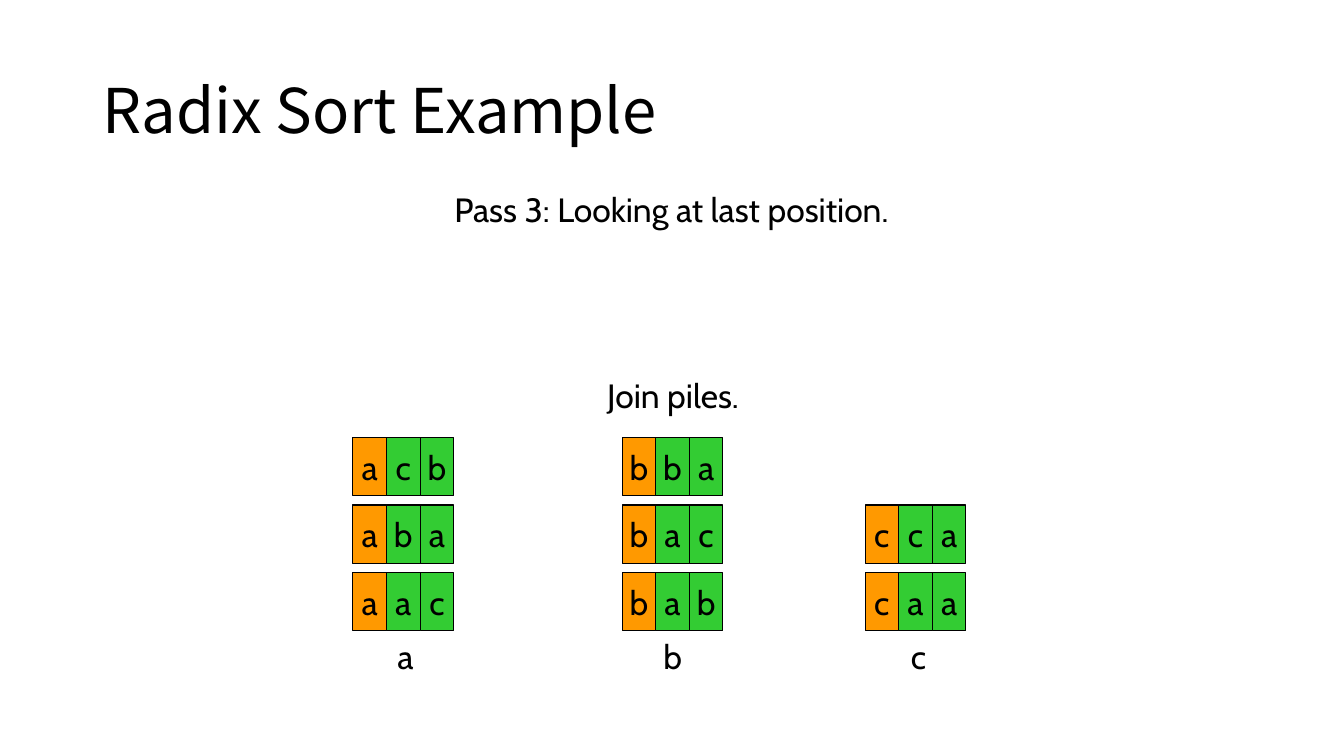
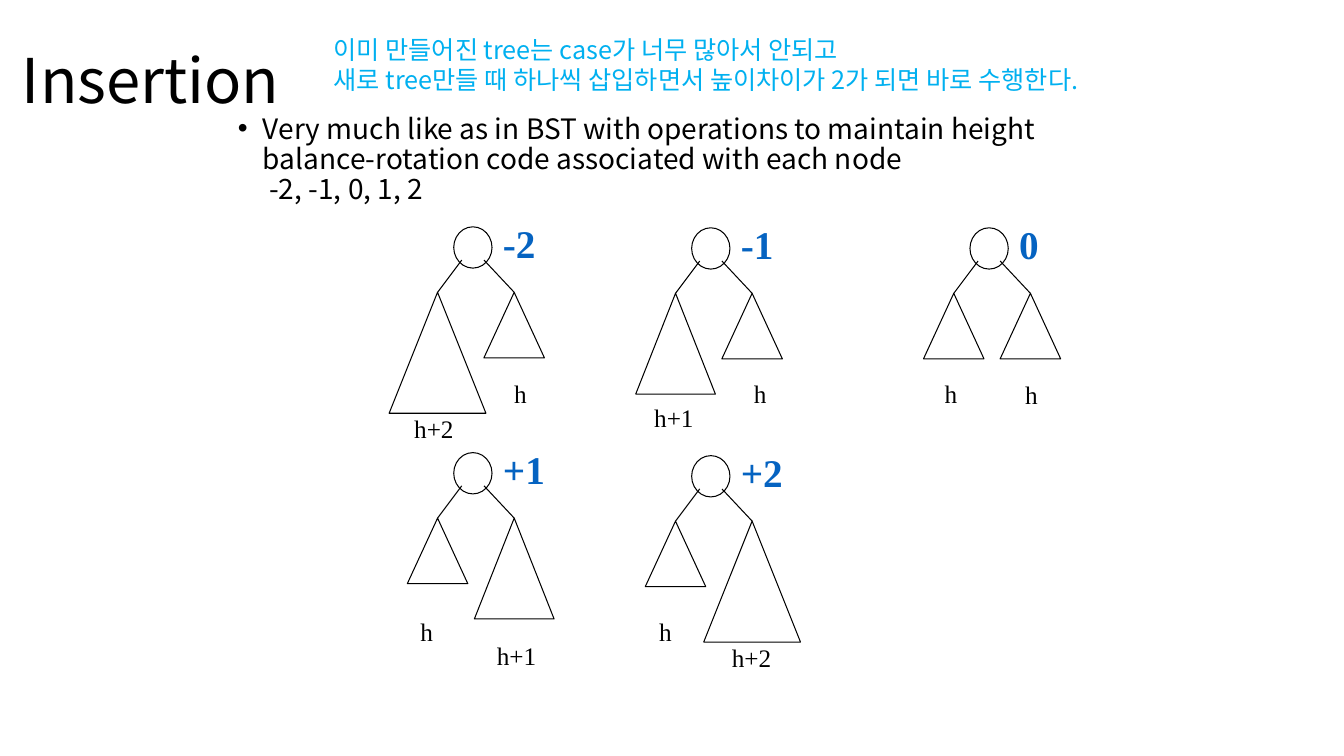
from dataclasses import dataclass
from typing import NamedTuple

from lxml import etree
from pptx import Presentation
from pptx.dml.color import RGBColor
from pptx.enum.shapes import MSO_CONNECTOR, MSO_SHAPE
from pptx.enum.text import MSO_ANCHOR, MSO_AUTO_SIZE, PP_ALIGN
from pptx.oxml.ns import qn
from pptx.util import Inches, Pt

RECTANGLE = MSO_SHAPE.RECTANGLE
TRIANGLE = MSO_SHAPE.ISOSCELES_TRIANGLE
OVAL = MSO_SHAPE.OVAL
STRAIGHT = MSO_CONNECTOR.STRAIGHT
MIDDLE, TOP = MSO_ANCHOR.MIDDLE, MSO_ANCHOR.TOP
LEFT, CENTER = PP_ALIGN.LEFT, PP_ALIGN.CENTER
GROW = MSO_AUTO_SIZE.SHAPE_TO_FIT_TEXT


class TextStyle(NamedTuple):
    """Typeface, size, colour and weight of a kind of text."""
    font: str
    size: int
    color: RGBColor
    bold: bool = False


@dataclass(frozen=True)
class Theme:
    """Colours and type shared by the slides."""
    ink: RGBColor = RGBColor(0x00, 0x00, 0x00)
    current: RGBColor = RGBColor(0xFF, 0x99, 0x00)
    sorted: RGBColor = RGBColor(0x33, 0xCC, 0x33)
    code_blue: RGBColor = RGBColor(0x05, 0x63, 0xC1)
    remark_blue: RGBColor = RGBColor(0x00, 0xB0, 0xF0)
    line_width: float = 0.75
    line_spacing: float = 0.9

    @property
    def title(self):
        """Return the style of slide titles."""
        return TextStyle("Noto Sans CJK KR", 44, self.ink)

    @property
    def body(self):
        """Return the style of bulleted text."""
        return TextStyle("Noto Sans CJK KR", 20, self.ink)

    @property
    def remark(self):
        """Return the style of the side remark."""
        return TextStyle("Noto Sans CJK KR", 18, self.remark_blue)

    @property
    def letter(self):
        """Return the style of sorted letters and captions."""
        return TextStyle("Cabin", 24, self.ink)

    @property
    def height(self):
        """Return the style of subtree heights."""
        return TextStyle("Times New Roman", 18, self.ink)

    @property
    def code(self):
        """Return the style of balance codes."""
        return TextStyle("Times New Roman", 28, self.code_blue, True)


class Subtree(NamedTuple):
    """Height of a subtree and the place of its label."""
    height: str
    label_x: float
    label_y: float


THEME = Theme()
CELL_W, CELL_H, WORD_PITCH, PILE_BOTTOM = 1 / 3, 0.58, 0.67, 5.68
PILES = [
    ("a", 3.5, 4.02, ["aac", "aba", "acb"]),
    ("b", 6.17, 6.67, ["bab", "bac", "bba"]),
    ("c", 8.58, 9.11, ["caa", "cca"]),
]
NODE_W, NODE_H, APEX_DROP = 0.38, 0.41, 0.65
CODE_W, CODE_H = 0.7, 0.57
SUBTREE_SIZES = {"h": (0.6, 0.65), "h+1": (0.79, 1.0), "h+2": (0.96, 1.2)}
TREES = [
    ("-2", 4.5, 2.25, Subtree("h+2", 4.01, 4.05), Subtree("h", 5.0, 3.7)),
    ("-1", 6.86, 2.26, Subtree("h+1", 6.39, 3.94), Subtree("h", 7.38, 3.7)),
    ("0", 9.62, 2.26, Subtree("h", 9.27, 3.7), Subtree("h", 10.07, 3.71)),
    ("+1", 4.5, 4.49, Subtree("h", 4.07, 6.07), Subtree("h+1", 4.83, 6.3)),
    ("+2", 6.86, 4.52, Subtree("h", 6.44, 6.07), Subtree("h+2", 7.16, 6.32)),
]


def style_text(frame, style, align=LEFT):
    """Format every run of a text frame."""
    for paragraph in frame.paragraphs:
        paragraph.alignment = align
        for run in paragraph.runs:
            run.font.name = style.font
            run.font.size = Pt(style.size)
            run.font.bold = style.bold
            run.font.color.rgb = style.color
            east_asian = etree.SubElement(run.font._element, qn("a:ea"))
            east_asian.set("typeface", style.font)


def add_text(slide, box, text, style, align=LEFT, anchor=TOP, wrap=False):
    """Add a text box and return its frame."""
    frame = slide.shapes.add_textbox(*map(Inches, box)).text_frame
    frame.word_wrap = wrap
    if not wrap:
        frame.auto_size = GROW
    frame.vertical_anchor = anchor
    frame.text = text
    style_text(frame, style, align)
    return frame


def add_title(slide, left, top, text):
    """Add a slide title."""
    frame = add_text(slide, (left, top, 11.5, 1.45), text, THEME.title,
                     anchor=MIDDLE, wrap=True)
    frame.paragraphs[0].line_spacing = THEME.line_spacing


def add_bullet(slide, box, text):
    """Add a bulleted paragraph with a hanging indent."""
    frame = add_text(slide, box, text, THEME.body, wrap=True)
    paragraph = frame.paragraphs[0]
    paragraph.line_spacing = THEME.line_spacing
    properties = paragraph._p.get_or_add_pPr()
    properties.set("marL", str(Inches(0.25)))
    properties.set("indent", str(Inches(-0.25)))
    etree.SubElement(properties, qn("a:buFont")).set("typeface", "Arial")
    etree.SubElement(properties, qn("a:buChar")).set("char", "•")


def add_outlined(shapes, kind, box, fill=None):
    """Add a thinly outlined preset shape."""
    shape = shapes.add_shape(kind, *map(Inches, box))
    shape.shadow.inherit = False
    if fill is None:
        shape.fill.background()
    else:
        shape.fill.solid()
        shape.fill.fore_color.rgb = fill
    shape.line.color.rgb = THEME.ink
    shape.line.width = Pt(THEME.line_width)
    return shape


def add_branch(slide, start, end):
    """Draw a straight line between two points."""
    branch = slide.shapes.add_connector(STRAIGHT, *map(Inches, start + end))
    branch.line.color.rgb = THEME.ink
    branch.line.width = Pt(THEME.line_width)
    etree.SubElement(branch._element.spPr, qn("a:effectLst"))


def add_word(slide, left, top, word):
    """Draw a word as grouped cells, the first one being current."""
    cells = slide.shapes.add_group_shape().shapes
    for position, letter in enumerate(word):
        fill = THEME.sorted if position else THEME.current
        box = (left + position * CELL_W, top, CELL_W, CELL_H)
        frame = add_outlined(cells, RECTANGLE, box, fill).text_frame
        frame.word_wrap = False
        frame.vertical_anchor = MIDDLE
        frame.text = letter
        style_text(frame, THEME.letter, CENTER)


def add_pile(slide, name, left, name_x, words):
    """Stack words upwards above the name of their pile."""
    for level, word in enumerate(words):
        add_word(slide, left, PILE_BOTTOM - level * WORD_PITCH, word)
    add_text(slide, (name_x - 0.19, 6.26, 0.38, 0.5), name, THEME.letter, CENTER)


def add_subtree(slide, apex, joint, subtree):
    """Draw a labelled triangle hanging from a node."""
    width, height = SUBTREE_SIZES[subtree.height]
    add_outlined(slide.shapes, TRIANGLE,
                 (apex[0] - width / 2, apex[1], width, height))
    add_branch(slide, apex, joint)
    label_width = 0.33 if subtree.height == "h" else 0.59
    add_text(slide, (subtree.label_x, subtree.label_y, label_width, 0.4),
             subtree.height, THEME.height)


def add_tree(slide, code, left, top, left_subtree, right_subtree):
    """Draw a node with its balance code and two subtrees."""
    add_outlined(slide.shapes, OVAL, (left, top, NODE_W, NODE_H))
    add_text(slide, (left + 0.39, top - 0.12, CODE_W, CODE_H), code, THEME.code)
    center, apex_y, joint_y = left + NODE_W / 2, top + APEX_DROP, top + 0.33
    add_subtree(slide, (center - 0.35, apex_y), (center - 0.11, joint_y),
                left_subtree)
    add_subtree(slide, (center + 0.41, apex_y), (center + 0.11, joint_y),
                right_subtree)


def build_radix_sort(slide):
    """Build the radix sort slide."""
    add_title(slide, 0.92, 0.4, "Radix Sort Example")
    add_text(slide, (4.23, 1.83, 4.86, 0.5), "Pass 3: Looking at last position.",
             THEME.letter, CENTER)
    add_text(slide, (5.85, 3.67, 1.65, 0.5), "Join piles.", THEME.letter, CENTER)
    for pile in PILES:
        add_pile(slide, *pile)


def build_insertion(slide):
    """Build the balanced tree insertion slide."""
    add_title(slide, 0.12, 0.1, "Insertion")
    add_bullet(slide, (2.26, 1.09, 9.21, 5),
               "Very much like as in BST with operations to maintain height "
               "balance-rotation code associated with each node\v -2, -1, 0, 1, 2")
    for tree in TREES:
        add_tree(slide, *tree)
    add_text(slide, (3.21, 0.29, 8.46, 0.71),
             "이미 만들어진 tree는 case가 너무 많아서 안되고\n"
             "새로 tree만들 때 하나씩 삽입하면서 높이차이가 2가 되면 바로 수행한다.",
             THEME.remark)


def main():
    """Build and save the presentation."""
    deck = Presentation()
    deck.slide_width, deck.slide_height = Inches(13.33), Inches(7.5)
    blank = deck.slide_layouts[6]
    for build in (build_radix_sort, build_insertion):
        build(deck.slides.add_slide(blank))
    deck.save("out.pptx")


if __name__ == "__main__":
    main()
